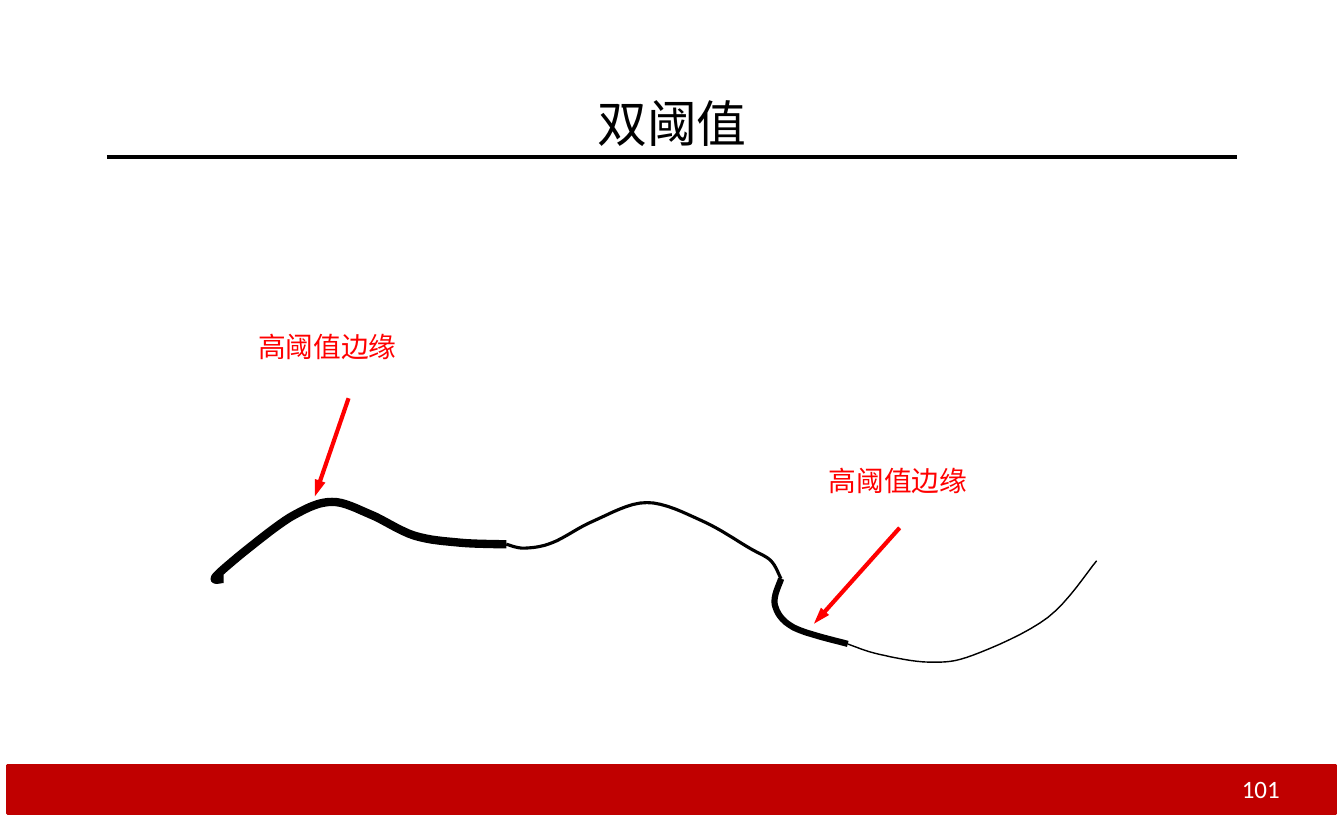
import pptx
import pptx.util
import pptx.dml.color
import pptx.enum.shapes
import pptx.enum.text
import pptx.oxml.ns
from lxml import etree

Cm = pptx.util.Cm
Pt = pptx.util.Pt
ALIGN = pptx.enum.text.PP_ALIGN
qn = pptx.oxml.ns.qn

CJK = "Noto Sans CJK SC"
BLACK, WHITE, RED, DARK_RED = "000000", "FFFFFF", "FF0000", "C00000"
PAGE_WIDTH, PAGE_HEIGHT = 17.12, 10.44
MARGIN = 1.36
BAND_MARGIN = 0.1
STEPS = 8


def paint(target, color):
    if hasattr(target, "solid"):
        target.solid()
        target = target.fore_color
    target.rgb = pptx.dml.color.RGBColor.from_string(color)


def write(box, text, size, color, font=CJK, align=ALIGN.LEFT):
    frame = box.text_frame
    frame.margin_left = frame.margin_right = frame.margin_bottom = 0
    frame.margin_top = Cm(0.03)
    frame.word_wrap = True
    frame.auto_size = pptx.enum.text.MSO_AUTO_SIZE.NONE
    frame.vertical_anchor = pptx.enum.text.MSO_ANCHOR.TOP
    para = frame.paragraphs[0]
    para.alignment = align
    span = para.add_run()
    span.text = text
    span.font.size = Pt(size)
    span.font.name = font
    paint(span.font.color, color)
    etree.SubElement(span.font._element, qn("a:ea"), typeface=font)


deck = pptx.Presentation()
deck.slide_width, deck.slide_height = Cm(PAGE_WIDTH), Cm(PAGE_HEIGHT)
page = deck.slides.add_slide(deck.slide_layouts[5])
shapes = page.shapes

title = shapes.title
title.left, title.top = Cm(MARGIN), Cm(1.15)
title.width, title.height = Cm(PAGE_WIDTH - 2 * MARGIN), Cm(0.84)
write(title, "双阈值", 18, BLACK, align=ALIGN.CENTER)

band = shapes.add_shape(
    pptx.enum.shapes.MSO_SHAPE.RECTANGLE,
    Cm(BAND_MARGIN), Cm(9.75), Cm(PAGE_WIDTH - 2 * BAND_MARGIN), Cm(0.61),
)
band.shadow.inherit = False
paint(band.fill, DARK_RED)
paint(band.line.fill, DARK_RED)
band.line.width = Pt(1)
number = shapes.add_textbox(Cm(15.82), Cm(9.82), Cm(0.6), Cm(0.46))
write(number, "101", 9, WHITE, font="Calibri")

edge_start = (2.85, 7.37)
strong_edge = [(2.75, 7.34), (3.23, 6.93), (3.76, 6.55), (4.23, 6.39), (4.72, 6.55),
               (5.28, 6.82), (5.87, 6.91), (6.45, 6.93)]
linking_edge = [(6.68, 6.98), (7.04, 6.91), (7.57, 6.63), (8.24, 6.4), (8.94, 6.63),
                (9.55, 6.98), (9.82, 7.14), (9.95, 7.37)]
second_strong_edge = [(9.87, 7.7), (10.11, 7.99), (10.8, 8.2)]
fading_edge = [(11.2, 8.33), (11.84, 8.43), (12.4, 8.34), (13.35, 7.86), (13.97, 7.14)]

joint = edge_start
for weight, knots in [(3, strong_edge), (1.12, linking_edge),
                      (2.25, second_strong_edge), (0.5, fading_edge)]:
    knots = [joint, *knots]
    padded = [knots[0], *knots, knots[-1]]
    curve = []
    for before, start, end, after in zip(padded, padded[1:], padded[2:], padded[3:]):
        for step in range(1, STEPS + 1):
            t = step / STEPS
            curve.append([
                Cm(b + ((c - a) * t + (2 * a - 5 * b + 4 * c - d) * t**2
                        + (3 * b - a - 3 * c + d) * t**3) / 2)
                for a, b, c, d in zip(before, start, end, after)
            ])
    builder = shapes.build_freeform(*map(Cm, joint))
    builder.add_line_segments(curve, close=False)
    edge = builder.convert_to_shape()
    edge.shadow.inherit = False
    edge.fill.background()
    paint(edge.line.fill, BLACK)
    edge.line.width = Pt(weight)
    joint = knots[-1]

for left, top in [(3.29, 4.17), (10.56, 5.87)]:
    label = shapes.add_textbox(Cm(left), Cm(top), Cm(1.9), Cm(0.48))
    write(label, "高阈值边缘", 10, RED)

title_rule = (MARGIN, 2, PAGE_WIDTH - MARGIN, 2)
strong_arrow = (4.44, 5.07, 4.01, 6.32)
second_strong_arrow = (11.46, 6.72, 10.37, 7.94)
for color, pointed, ends in [(BLACK, False, title_rule), (RED, True, strong_arrow),
                             (RED, True, second_strong_arrow)]:
    line = shapes.add_connector(pptx.enum.shapes.MSO_CONNECTOR.STRAIGHT, *map(Cm, ends))
    paint(line.line.fill, color)
    line.line.width = Pt(1.5)
    if pointed:
        etree.SubElement(line.line._get_or_add_ln(), qn("a:tailEnd"),
                         type="triangle", w="sm", len="med")
    etree.SubElement(line._element.spPr, qn("a:effectLst"))

deck.save("out.pptx")
